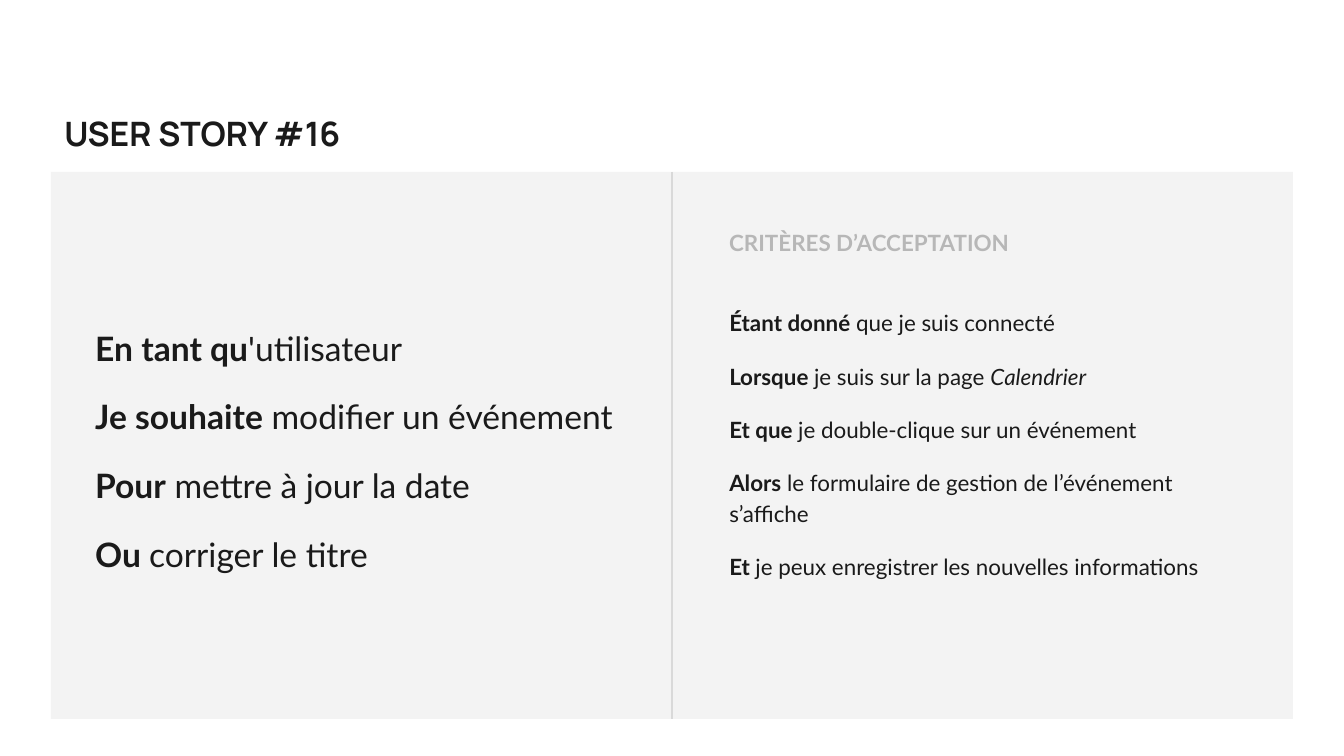
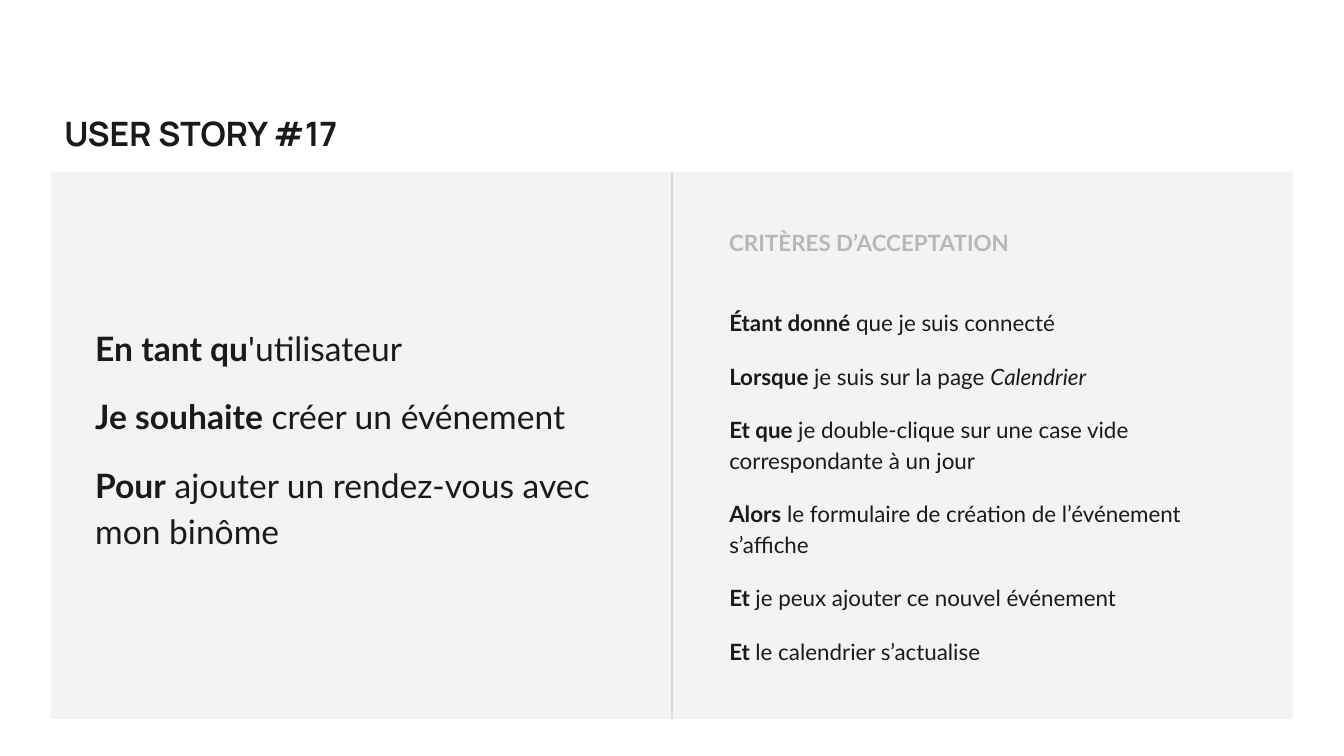
from dataclasses import dataclass
from typing import NamedTuple

from lxml.etree import SubElement
from pptx import Presentation
from pptx.dml.color import RGBColor
from pptx.enum.shapes import MSO_CONNECTOR, MSO_SHAPE
from pptx.enum.text import MSO_ANCHOR, MSO_AUTO_SIZE, PP_ALIGN
from pptx.oxml.ns import qn
from pptx.util import Pt

EMU_PER_PIXEL = 914400 / 134.4


@dataclass(frozen=True)
class Theme:
    """Colours, fonts and type sizes shared by the slides."""

    ink: str = "1A1A1A"
    muted: str = "B7B7B7"
    panel: str = "F3F3F3"
    divider: str = "D9D9D9"
    title_font: str = "Manrope"
    text_font: str = "Lato"
    large: int = 18
    small: int = 12
    gap: int = 12
    line_spacing: float = 1.15
    divider_width: float = 0.75


class Box(NamedTuple):
    """A rectangle in pixels."""

    left: int
    top: int
    width: int
    height: int

    def inside(self, left, top, width, height):
        """Return a box offset from this one's top left corner."""
        return Box(self.left + left, self.top + top, width, height)

    def emu(self):
        """Return the four lengths in EMU."""
        return [px(length) for length in self]


THEME = Theme()
SLIDE = Box(0, 0, 1344, 756)
PANEL = SLIDE.inside(51, 172, 1242, 547)
CRITERIA_LABEL = "CRITÈRES D’ACCEPTATION"
USER = ("En tant qu", "'utilisateur")
CONNECTED = ("Étant donné", " que je suis connecté")
ON_CALENDAR = ("Lorsque ", "je suis sur la page ", "Calendrier")

STORIES = [
    {
        "title": "USER STORY #16",
        "story": [
            USER,
            ("Je souhaite", " modifier un événement"),
            ("Pour", " mettre à jour la date"),
            ("Ou ", "corriger le titre"),
        ],
        "criteria": [
            CONNECTED,
            ON_CALENDAR,
            ("Et que ", "je double-clique sur un événement"),
            ("Alors", " le formulaire de gestion de l’événement s’affiche"),
            ("Et ", "je peux enregistrer les nouvelles informations"),
        ],
    },
    {
        "title": "USER STORY #17",
        "story": [
            USER,
            ("Je souhaite", " créer un événement"),
            ("Pour", " ajouter un rendez-vous avec mon binôme"),
        ],
        "criteria": [
            CONNECTED,
            ON_CALENDAR,
            ("Et que ", "je double-clique sur une case vide correspondante à un jour"),
            ("Alors", " le formulaire de création de l’événement s’affiche"),
            ("Et ", "je peux ajouter ce nouvel événement"),
            ("Et ", "le calendrier s’actualise"),
        ],
    },
]


def px(length):
    """Turn pixels into EMU."""
    return round(length * EMU_PER_PIXEL)


def apply_format(target, values):
    """Set each named attribute on the target."""
    for name, value in values.items():
        setattr(target, name, value)


def add_run(paragraph, text, font, size, color, bold=False, italic=False):
    """Append one formatted run to a paragraph."""
    run = paragraph.add_run()
    run.text = text
    apply_format(run.font, {"name": font, "size": Pt(size), "bold": bold, "italic": italic})
    run.font.color.rgb = RGBColor.from_string(color)


def prepare_frame(shape, auto_size=MSO_AUTO_SIZE.NONE):
    """Give a shape's text frame the shared margins and wrapping."""
    margins = {f"margin_{side}": Pt(7.2) for side in ("left", "top", "right", "bottom")}
    frame = shape.text_frame
    apply_format(
        frame,
        {"word_wrap": True, "auto_size": auto_size, "vertical_anchor": MSO_ANCHOR.TOP, **margins},
    )
    return frame


def place_title(slide, box, text):
    """Move, fill and format the title placeholder."""
    title = slide.shapes.title
    apply_format(title, dict(zip(("left", "top", "width", "height"), box.emu())))
    paragraph = prepare_frame(title).paragraphs[0]
    apply_format(
        paragraph,
        {"alignment": PP_ALIGN.LEFT, "line_spacing": 1.0, "space_before": Pt(0)},
    )
    add_run(paragraph, text, THEME.title_font, THEME.large, THEME.ink, bold=True)


def draw_panel(slide, box):
    """Draw the grey panel."""
    panel = slide.shapes.add_shape(MSO_SHAPE.RECTANGLE, *box.emu())
    panel.shadow.inherit = False
    panel.fill.solid()
    panel.fill.fore_color.rgb = RGBColor.from_string(THEME.panel)
    panel.line.fill.background()


def draw_divider(slide, box):
    """Draw the vertical line through the middle of the box."""
    middle = px(box.left + box.width / 2)
    divider = slide.shapes.add_connector(
        MSO_CONNECTOR.STRAIGHT, middle, px(box.top), middle, px(box.top + box.height)
    )
    divider.line.width = Pt(THEME.divider_width)
    divider.line.color.rgb = RGBColor.from_string(THEME.divider)
    SubElement(divider.element.spPr, qn("a:effectLst"))


def add_statements(slide, box, statements, size):
    """Write statements with a bold lead and an optional italic ending."""
    frame = prepare_frame(slide.shapes.add_textbox(*box.emu()))
    for index, (lead, rest, *endings) in enumerate(statements):
        paragraph = frame.add_paragraph() if index else frame.paragraphs[0]
        apply_format(
            paragraph,
            {
                "line_spacing": THEME.line_spacing,
                "space_before": Pt(THEME.gap if index else 0),
                "space_after": Pt(THEME.gap if index == len(statements) - 1 else 0),
            },
        )
        add_run(paragraph, lead, THEME.text_font, size, THEME.ink, bold=True)
        add_run(paragraph, rest, THEME.text_font, size, THEME.ink)
        for ending in endings:
            add_run(paragraph, ending, THEME.text_font, size, THEME.ink, italic=True)


def add_label(slide, box, text):
    """Write the muted heading above the criteria."""
    frame = prepare_frame(slide.shapes.add_textbox(*box.emu()), MSO_AUTO_SIZE.SHAPE_TO_FIT_TEXT)
    add_run(frame.paragraphs[0], text, THEME.text_font, THEME.small, THEME.muted, bold=True)


def build_story_slide(presentation, box, title, story, criteria):
    """Add one user story slide laid out around the panel box."""
    layout = presentation.slide_layouts.get_by_name("Title Only")
    slide = presentation.slides.add_slide(layout)
    draw_panel(slide, box)
    place_title(slide, box.inside(0, -73, 366, 73), title)
    add_statements(slide, box.inside(31, 136, 563, 276), story, THEME.large)
    add_statements(slide, box.inside(665, 120, 535, 386), criteria, THEME.small)
    draw_divider(slide, box)
    add_label(slide, box.inside(665, 44, 441, 54), CRITERIA_LABEL)


def main():
    """Build and save the presentation."""
    presentation = Presentation()
    apply_format(
        presentation,
        {"slide_width": px(SLIDE.width), "slide_height": px(SLIDE.height)},
    )
    for story in STORIES:
        build_story_slide(presentation, PANEL, **story)
    presentation.save("out.pptx")


if __name__ == "__main__":
    main()
